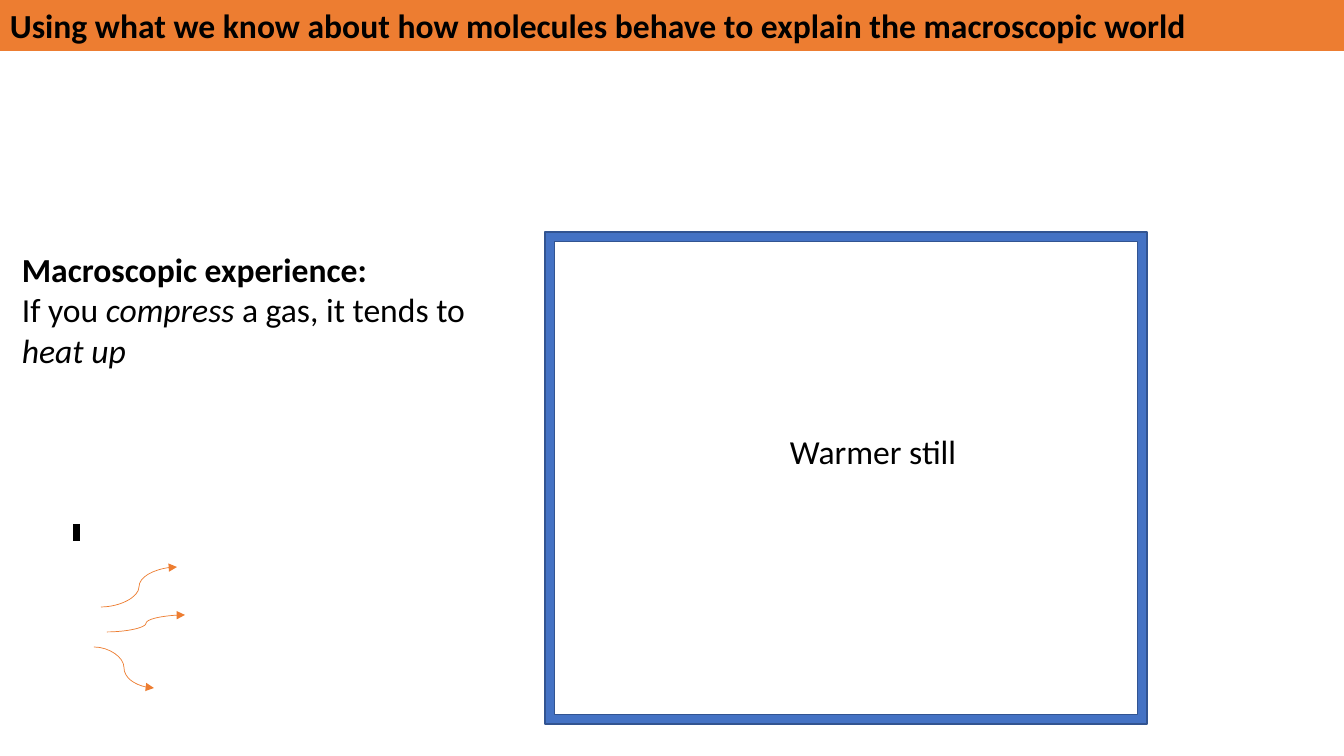
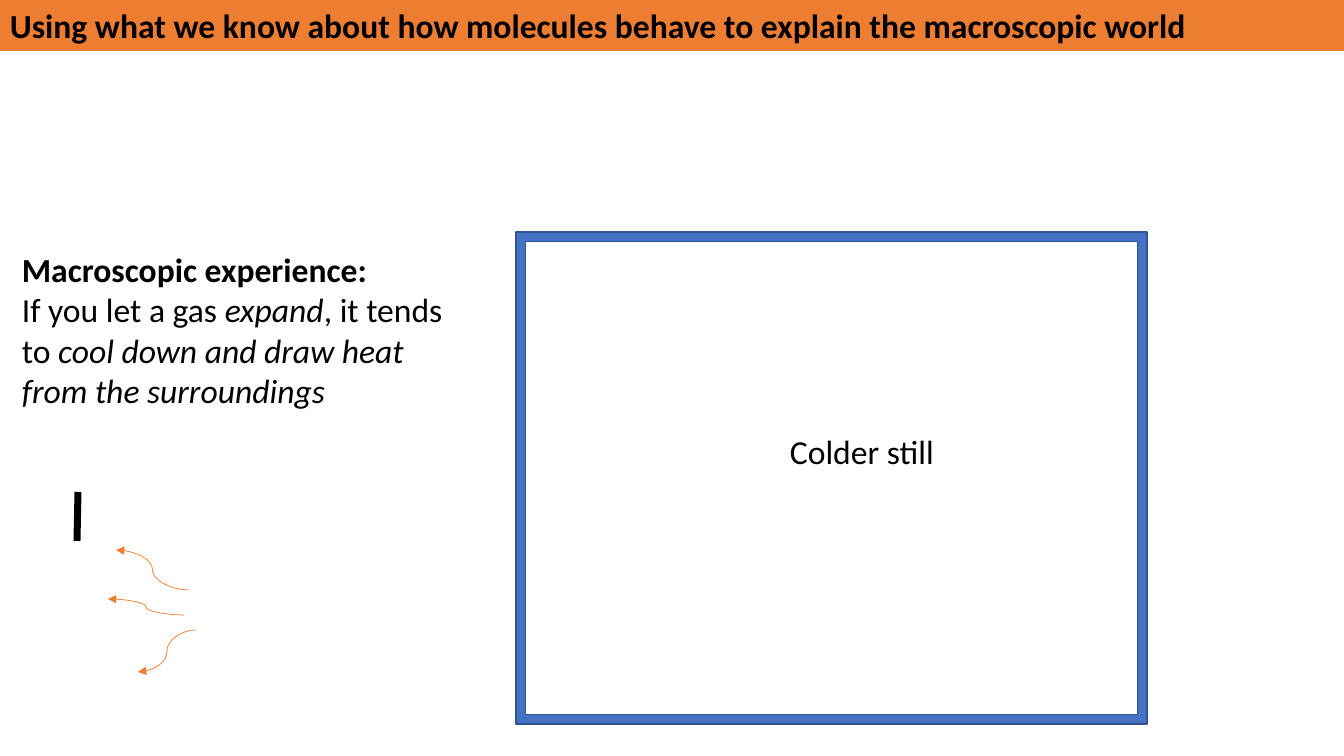
from lxml.etree import SubElement
from pptx import Presentation
from pptx.dml.color import RGBColor
from pptx.enum.shapes import MSO_CONNECTOR, MSO_SHAPE
from pptx.enum.text import MSO_AUTO_SIZE
from pptx.oxml.ns import qn
from pptx.util import Emu, Pt

PX_PER_INCH = 100.8
WIDTH, HEIGHT = 1344, 756
FRAME_TOP, FRAME_RIGHT, FRAME_HEIGHT = 232, 1147, 492
TITLE = "Using what we know about how molecules behave to explain the macroscopic world"
LESSONS = [
    {
        "experience": ["If you ", "compress", " a gas, it tends to ", "heat up"],
        "outcome": "Warmer still",
        "frame_left": 545,
        "piston": (77, 524, 77, 541),
        "heat": [(101, 607, 177, 567), (94, 647, 154, 688), (107, 632, 185, 615)],
    },
    {
        "experience": ["If you let a gas ", "expand", ", it tends to ",
                       "cool down and draw heat from the surroundings"],
        "outcome": "Colder still",
        "frame_left": 516,
        "piston": (78, 492, 77, 541),
        "heat": [(189, 590, 116, 550), (196, 630, 138, 672), (184, 615, 108, 599)],
    },
]


def px(*lengths):
    """Turn whole pixels into EMU."""
    return [Emu(round(length * 914400 / PX_PER_INCH)) for length in lengths]


def rgb(color):
    """Turn a hex string into a colour."""
    return RGBColor.from_string(color)


class Deck:
    """Hold the shared style and the slide being built."""

    font, size = "Calibri", Pt(24)
    ink, accent, wall, wall_edge = "000000", "ED7D31", "4472C4", "325491"

    def __init__(self):
        """Start an empty wide presentation."""
        self.show = Presentation()
        self.show.slide_width, self.show.slide_height = px(WIDTH, HEIGHT)
        self.slide = None

    def new_slide(self, title):
        """Add a blank slide with the title band."""
        self.slide = self.show.slides.add_slide(self.show.slide_layouts[6])
        band = self.text((0, 0, WIDTH, 51), [([title], True)])
        band.fill.solid()
        band.fill.fore_color.rgb = rgb(self.accent)

    def text(self, area, paragraphs):
        """Write paragraphs of (parts, bold), every second part in italics."""
        box = self.slide.shapes.add_textbox(*px(*area))
        frame = box.text_frame
        frame.word_wrap = True
        frame.auto_size = MSO_AUTO_SIZE.SHAPE_TO_FIT_TEXT
        for index, (parts, bold) in enumerate(paragraphs):
            paragraph = frame.add_paragraph() if index else frame.paragraphs[0]
            font = paragraph.font
            font.name, font.size, font.bold = self.font, self.size, bold
            font.color.rgb = rgb(self.ink)
            for position, part in enumerate(parts):
                run = paragraph.add_run()
                run.text = part
                if position % 2:
                    run.font.italic = True
        return box

    def container(self, left):
        """Draw the gas container, fixed at its right wall."""
        area = px(left, FRAME_TOP, FRAME_RIGHT - left, FRAME_HEIGHT)
        walls = self.slide.shapes.add_shape(MSO_SHAPE.FRAME, *area)
        walls.adjustments[0] = 0.019
        walls.shadow.inherit = False
        walls.fill.solid()
        walls.fill.fore_color.rgb = rgb(self.wall)
        walls.line.color.rgb = rgb(self.wall_edge)
        walls.line.width = Pt(1)

    def line(self, kind, ends, color, width):
        """Draw a connector without shadow."""
        connector = self.slide.shapes.add_connector(kind, *px(*ends))
        connector.line.color.rgb = rgb(color)
        connector.line.width = Pt(width)
        SubElement(connector._element.spPr, qn("a:effectLst"))
        return connector

    def piston(self, ends):
        """Draw the thick piston rod."""
        self.line(MSO_CONNECTOR.STRAIGHT, ends, self.ink, 5)

    def heat_arrow(self, ends):
        """Draw a thin curved arrow for heat flow."""
        arrow = self.line(MSO_CONNECTOR.CURVE, ends, self.accent, 0.5)
        SubElement(arrow.line._get_or_add_ln(), qn("a:tailEnd"), type="triangle")


def main():
    """Build and save the slides."""
    deck = Deck()
    for lesson in LESSONS:
        deck.new_slide(TITLE)
        deck.container(lesson["frame_left"])
        deck.text((780, 426, 213, 50), [([lesson["outcome"]], False)])
        deck.text((12, 244, 469, 132),
                  [(["Macroscopic experience:"], True), (lesson["experience"], False)])
        deck.piston(lesson["piston"])
        for ends in lesson["heat"]:
            deck.heat_arrow(ends)
    deck.show.save("out.pptx")


if __name__ == "__main__":
    main()
